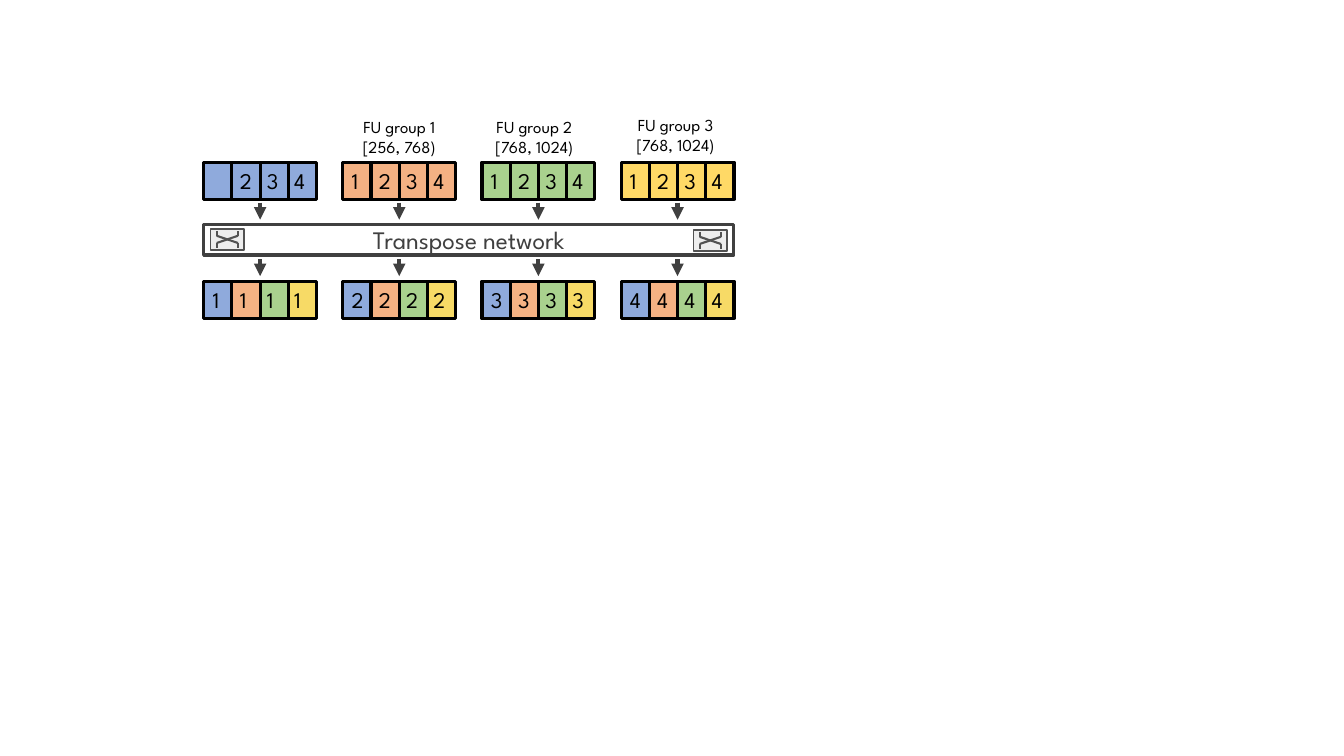
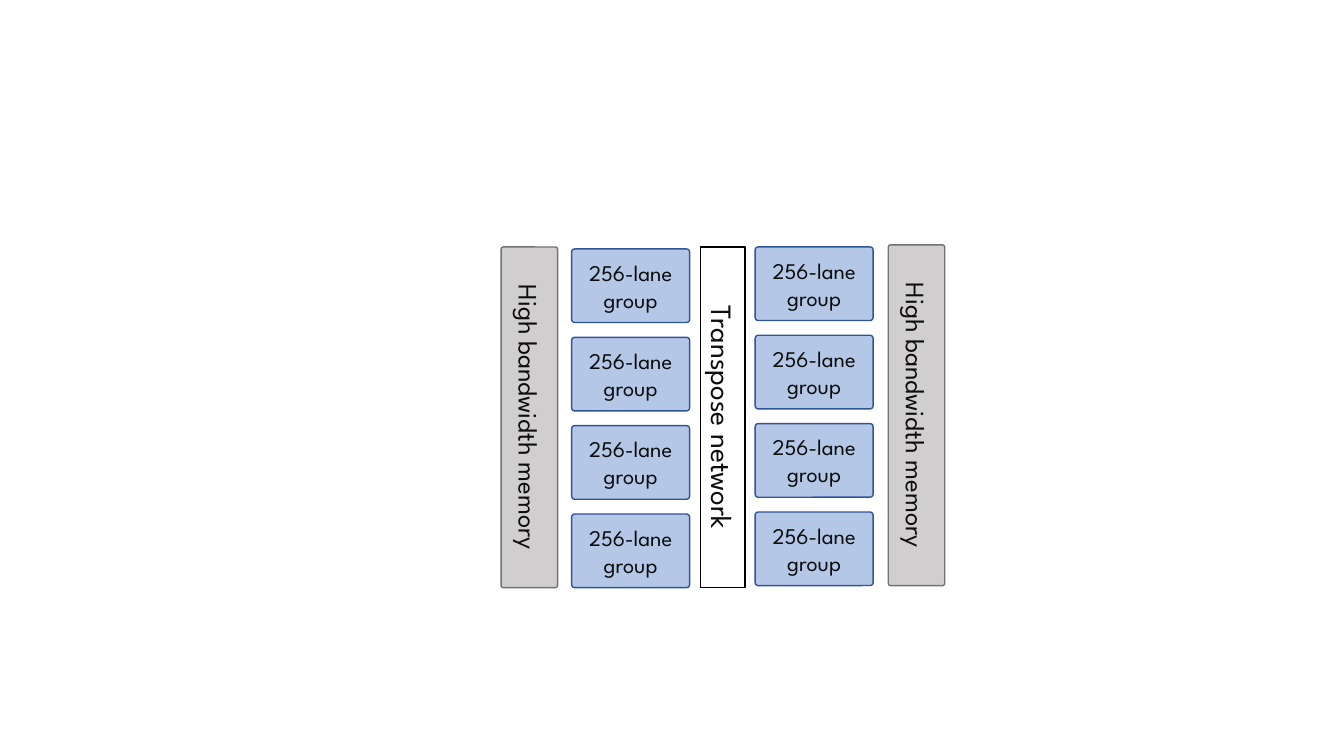
import lxml.etree
import pptx
import pptx.util
import pptx.dml.color
import pptx.enum.shapes
import pptx.enum.text
import pptx.oxml.ns

FONT = "League Spartan"
BLACK, INK, DARK, ICON = "000000", "0D0D0D", "404040", "525252"
SOURCE_FILLS = ["8FAADC", "F4B183", "A9D18E", "FFD966"]
MIXED_FILLS = ["8FAADC", "F5B283", "A9D18E", "F7DA66"]
SOURCE_DIGITS = [["", "2", "3", "4"], "1234", "1234", "1234"]
GROUP_LABELS = [
    (1, 0, 0, "FU group 1", "[256, 768)"),
    (2, -0.04, 0, "FU group 2", "[768, 1024)"),
    (3, -0.02, -0.02, "FU group 3", "[768, 1024)"),
]
SHAPES = pptx.enum.shapes.MSO_SHAPE


def rgb(value):
    """Return the colour for a hex string."""
    return pptx.dml.color.RGBColor.from_string(value)


def inches(*values):
    """Convert lengths in inches."""
    return [pptx.util.Inches(v) for v in values]


def write(shape, lines, size, color, align="CENTER", anchor="MIDDLE"):
    """Write one paragraph per line into a shape."""
    tf = shape.text_frame
    tf.word_wrap = True
    tf.vertical_anchor = pptx.enum.text.MSO_ANCHOR[anchor]
    for i, line in enumerate(lines):
        p = tf.add_paragraph() if i else tf.paragraphs[0]
        p.alignment = pptx.enum.text.PP_ALIGN[align]
        r = p.add_run()
        r.text = line
        r.font.name, r.font.size = FONT, pptx.util.Pt(size)
        r.font.color.rgb = rgb(color)


def block(s, box, fill=None, line=None, width=1, kind=SHAPES.RECTANGLE, vertical=False):
    """Add a preset shape that covers the box, turned a quarter if vertical."""
    x, y, w, h = box
    if vertical:
        x, y, w, h = x + (w - h) / 2, y + (h - w) / 2, h, w
    sp = s.shapes.add_shape(kind, *inches(x, y, w, h))
    sp.rotation = 90 if vertical else 0
    sp.shadow.inherit = False
    if kind == SHAPES.ROUNDED_RECTANGLE:
        sp.adjustments[0] = 0.04
    if fill:
        sp.fill.solid()
        sp.fill.fore_color.rgb = rgb(fill)
    else:
        sp.fill.background()
    if line:
        sp.line.color.rgb = rgb(line)
        sp.line.width = pptx.util.Pt(width)
    else:
        sp.line.fill.background()
    return sp


def text(s, box, lines, size, align):
    """Add a top-anchored black text box."""
    write(s.shapes.add_textbox(*inches(*box)), lines, size, BLACK, align, "TOP")


def stroke(s, start, end, color, width, arrow=False):
    """Add a straight line, with an arrowhead at its end if asked."""
    qn = pptx.oxml.ns.qn
    straight = pptx.enum.shapes.MSO_CONNECTOR.STRAIGHT
    sp = s.shapes.add_connector(straight, *inches(*start, *end))
    sp.line.color.rgb = rgb(color)
    sp.line.width = pptx.util.Pt(width)
    props = sp._element.spPr
    if arrow:
        lxml.etree.SubElement(props.find(qn("a:ln")), qn("a:tailEnd"), type="triangle")
    lxml.etree.SubElement(props, qn("a:effectLst"))


def register(s, box, digits, frame_fill=None, cell_fills=()):
    """Draw a framed row of four numbered cells."""
    x, y, w, h = box
    cell = w / 4
    for i, fill in enumerate(cell_fills):
        block(s, (x + i * cell, y, cell, h), fill)
    block(s, box, frame_fill, BLACK, 2.25)
    for i in range(1, 4):
        stroke(s, (x + i * cell, y), (x + i * cell, y + h), BLACK, 2.25)
    for i, digit in enumerate(digits):
        if digit:
            text(s, (x - 0.01 + i * 0.27, y, 0.26, h), [digit], 16, "LEFT")


def crossbar(s, box):
    """Draw a small switch icon with two crossing wires."""
    x, y, w, h = box
    block(s, box, "EDEDED", ICON, 1)
    left, right = x + 0.18 * w, x + 0.82 * w
    levels = [y + share * h for share in (0.1, 0.33, 0.67, 0.9)]
    for a, b, c, d in (levels, levels[::-1]):
        wire = [(left, a), (left, b), (right, c), (right, d)]
        for start, end in zip(wire, wire[1:]):
            stroke(s, start, end, ICON, 1.5)


def transpose_slide(s, box):
    """Draw four registers, the network and the transposed registers."""
    x, y, w, h = box
    reg_w, reg_h, bar_h = 1.12, 0.37, 0.3
    pitch = (w - reg_w) / 3
    bar_y, low_y = y + 0.62, y + h - reg_h
    write(block(s, (x, bar_y, w, bar_h), None, DARK, 2.25), ["Transpose network"], 18, DARK)
    crossbar(s, (x + 0.07, bar_y + 0.04, 0.33, 0.21))
    crossbar(s, (x + w - 0.4, bar_y + 0.05, 0.33, 0.21))
    for i, fill in enumerate(SOURCE_FILLS):
        left = x + i * pitch
        mid = left + reg_w / 2
        register(s, (left, y, reg_w, reg_h), SOURCE_DIGITS[i], fill)
        register(s, (left, low_y, reg_w, reg_h), str(i + 1) * 4, None, MIXED_FILLS)
        for top in (y + reg_h + 0.03, bar_y + bar_h + 0.04):
            stroke(s, (mid, top), (mid, top + 0.17), DARK, 3, True)
    for i, dx, dy, *lines in GROUP_LABELS:
        text(s, (x + i * pitch + dx, y - 0.5 + dy, reg_w, 0.5), lines, 12, "CENTER")


def memory(s, box):
    """Draw an upright memory bar."""
    sp = block(s, box, "D0CECE", "767171", 1, SHAPES.ROUNDED_RECTANGLE, True)
    write(sp, ["High bandwidth memory"], 19, INK)


def lane_column(s, box):
    """Stack four equally spaced lane groups in the box."""
    x, y, w, h = box
    lane_h = 0.73
    pitch = (h - lane_h) / 3
    for i in range(4):
        lane = (x, y + i * pitch, w, lane_h)
        sp = block(s, lane, "B4C7E7", "2F5597", 1, SHAPES.ROUNDED_RECTANGLE)
        write(sp, ["256-lane group"], 16, INK)


def layout_slide(s, box):
    """Draw lane groups and memories on both sides of the network."""
    x, y, w, h = box
    mem_w, lane_w, lane_h = 0.56, 1.17, 3.36
    memory(s, (x, y, mem_w, h))
    lane_column(s, (x + 0.7, y + 0.02, lane_w, lane_h))
    sp = block(s, (x + 1.98, y, 0.44, h), "FFFFFF", BLACK, 1, vertical=True)
    write(sp, ["Transpose network"], 21, INK)
    lane_column(s, (x + 2.52, y, lane_w, lane_h))
    memory(s, (x + w - mem_w, y - 0.02, mem_w, h))


def main():
    """Build and save both slides."""
    prs = pptx.Presentation()
    prs.slide_width, prs.slide_height = inches(13.33, 7.5)
    blank = prs.slide_layouts[6]
    transpose_slide(prs.slides.add_slide(blank), (2.02, 1.61, 5.26, 1.55))
    layout_slide(prs.slides.add_slide(blank), (4.97, 2.45, 4.4, 3.38))
    prs.save("out.pptx")


if __name__ == "__main__":
    main()
